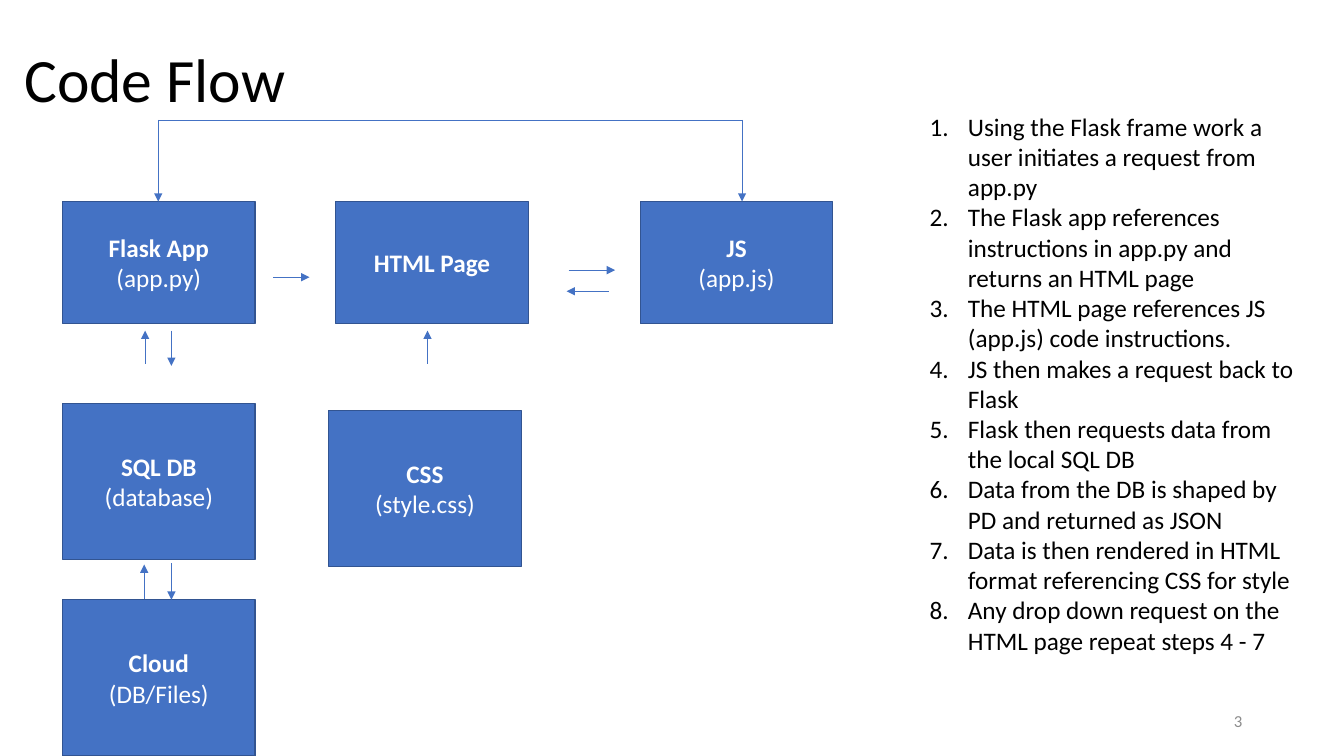
from lxml import etree
from pptx import Presentation
from pptx.dml.color import RGBColor
from pptx.enum.shapes import MSO_CONNECTOR, MSO_SHAPE
from pptx.enum.text import MSO_ANCHOR, MSO_AUTO_SIZE, PP_ALIGN
from pptx.oxml.ns import qn
from pptx.util import Inches, Pt

LEFT, CENTER, RIGHT = PP_ALIGN.LEFT, PP_ALIGN.CENTER, PP_ALIGN.RIGHT
TOP, MIDDLE = MSO_ANCHOR.TOP, MSO_ANCHOR.MIDDLE
NO_FIT = MSO_AUTO_SIZE.NONE
RECTANGLE = MSO_SHAPE.RECTANGLE
STRAIGHT = MSO_CONNECTOR.STRAIGHT


def color(hex_value):
    return RGBColor.from_string(hex_value)


def set_all(target, values):
    for name, value in values.items():
        setattr(target, name, value)


class FlowSlide:
    FONT = "Calibri"
    BLUE, OUTLINE = "4472C4", "325491"
    BLACK, WHITE, GRAY = "000000", "FFFFFF", "8C8C8C"

    def __init__(self, slide):
        self.slide = slide

    def place(self, shape, left, top, width, height):
        set_all(shape, {"left": Inches(left), "top": Inches(top),
                        "width": Inches(width), "height": Inches(height)})

    def fill_text(self, shape, lines, size, ink, align, anchor, bold_first=False, **spacing):
        frame = shape.text_frame
        set_all(frame, {"word_wrap": True, "auto_size": NO_FIT, "vertical_anchor": anchor})
        frame.text = "\n".join(lines)
        for index, paragraph in enumerate(frame.paragraphs):
            set_all(paragraph, {"alignment": align, **spacing})
            font = paragraph.runs[0].font
            set_all(font, {"name": self.FONT, "size": Pt(size),
                           "bold": bold_first and index == 0})
            font.color.rgb = color(ink)

    def title(self, text, *area):
        heading = self.slide.shapes.title
        self.place(heading, *area)
        self.fill_text(heading, [text], 44, self.BLACK, LEFT, MIDDLE, line_spacing=0.9)

    def numbered_list(self, steps, *area):
        body = self.slide.placeholders[1]
        self.place(body, *area)
        self.fill_text(body, steps, 18, self.BLACK, LEFT, TOP, space_before=Pt(0))
        indent = Inches(0.38)
        for paragraph in body.text_frame.paragraphs:
            properties = paragraph._p.get_or_add_pPr()
            properties.set("marL", str(indent))
            properties.set("indent", str(-indent))
            etree.SubElement(properties, qn("a:buFont"), typeface="+mj-lt")
            etree.SubElement(properties, qn("a:buAutoNum"), type="arabicPeriod")

    def page_number(self, number, *area):
        label = self.slide.shapes.add_textbox(*map(Inches, area))
        self.fill_text(label, [number], 12, self.GRAY, RIGHT, MIDDLE)

    def box(self, lines, *area):
        node = self.slide.shapes.add_shape(RECTANGLE, *map(Inches, area))
        node.shadow.inherit = False
        node.fill.solid()
        node.fill.fore_color.rgb = color(self.BLUE)
        node.line.color.rgb = color(self.OUTLINE)
        node.line.width = Pt(1)
        self.fill_text(node, lines, 18, self.WHITE, CENTER, MIDDLE, bold_first=True)

    def line(self, *ends, arrow=True):
        link = self.slide.shapes.add_connector(STRAIGHT, *map(Inches, ends))
        link.line.color.rgb = color(self.BLUE)
        link.line.width = Pt(0.5)
        properties = link._element.spPr
        if arrow:
            etree.SubElement(properties.find(qn("a:ln")), qn("a:tailEnd"), type="triangle")
        etree.SubElement(properties, qn("a:effectLst"))


prs = Presentation()
set_all(prs, {"slide_width": Inches(13.33), "slide_height": Inches(7.5)})
flow = FlowSlide(prs.slides.add_slide(prs.slide_layouts[1]))

# Title, steps and page number
flow.title("Code Flow", 0.14, 0.09, 11.5, 1.45)
flow.numbered_list([
    "Using the Flask frame work a user initiates a request from app.py",
    "The Flask app references instructions in app.py and returns an HTML page",
    "The HTML page references JS (app.js) code instructions.",
    "JS then makes a request back to Flask",
    "Flask then requests data from the local SQL DB",
    "Data from the DB is shaped by PD and returned as JSON",
    "Data is then rendered in HTML format referencing CSS for style",
    "Any drop down request on the HTML page repeat steps 4 - 7",
], 9.12, 1.05, 3.89, 7.07)
flow.page_number("3", 9.42, 6.95, 3, 0.4)

# Components: a short top row, taller boxes below
BOX_WIDTH, PAGE_ROW, STORE_HEIGHT = 1.91, 2, 1.55
FLASK_LEFT = 0.62
for lines, left in [(["Flask App", "(app.py)"], FLASK_LEFT),
                    (["HTML Page"], 3.33),
                    (["JS", "(app.js)"], 6.35)]:
    flow.box(lines, left, PAGE_ROW, BOX_WIDTH, 1.21)
for lines, left, top in [(["SQL DB", "(database)"], FLASK_LEFT, 4),
                         (["CSS", "(style.css)"], 3.26, 4.07),
                         (["Cloud", "(DB/Files)"], FLASK_LEFT, 5.95)]:
    flow.box(lines, left, top, BOX_WIDTH, STORE_HEIGHT)

# Return path from JS to Flask
RETURN_TOP, FLASK_X, JS_X = 1.19, 1.57, 7.36
flow.line(FLASK_X, RETURN_TOP, JS_X, RETURN_TOP, arrow=False)
for end_x in (FLASK_X, JS_X):
    flow.line(end_x, RETURN_TOP, end_x, PAGE_ROW)

# Arrows across the top row
for start_x, end_x, y in [(2.71, 3.07, 2.75), (5.64, 6.1, 2.68), (6.04, 5.62, 2.89)]:
    flow.line(start_x, y, end_x, y)

# Arrows between the rows
for x, start_y, end_y in [(1.44, 3.61, 3.28), (1.7, 3.28, 3.63), (4.24, 3.61, 3.28),
                          (1.43, 5.94, 5.6), (1.7, 5.59, 5.95)]:
    flow.line(x, start_y, x, end_y)

prs.save("out.pptx")
